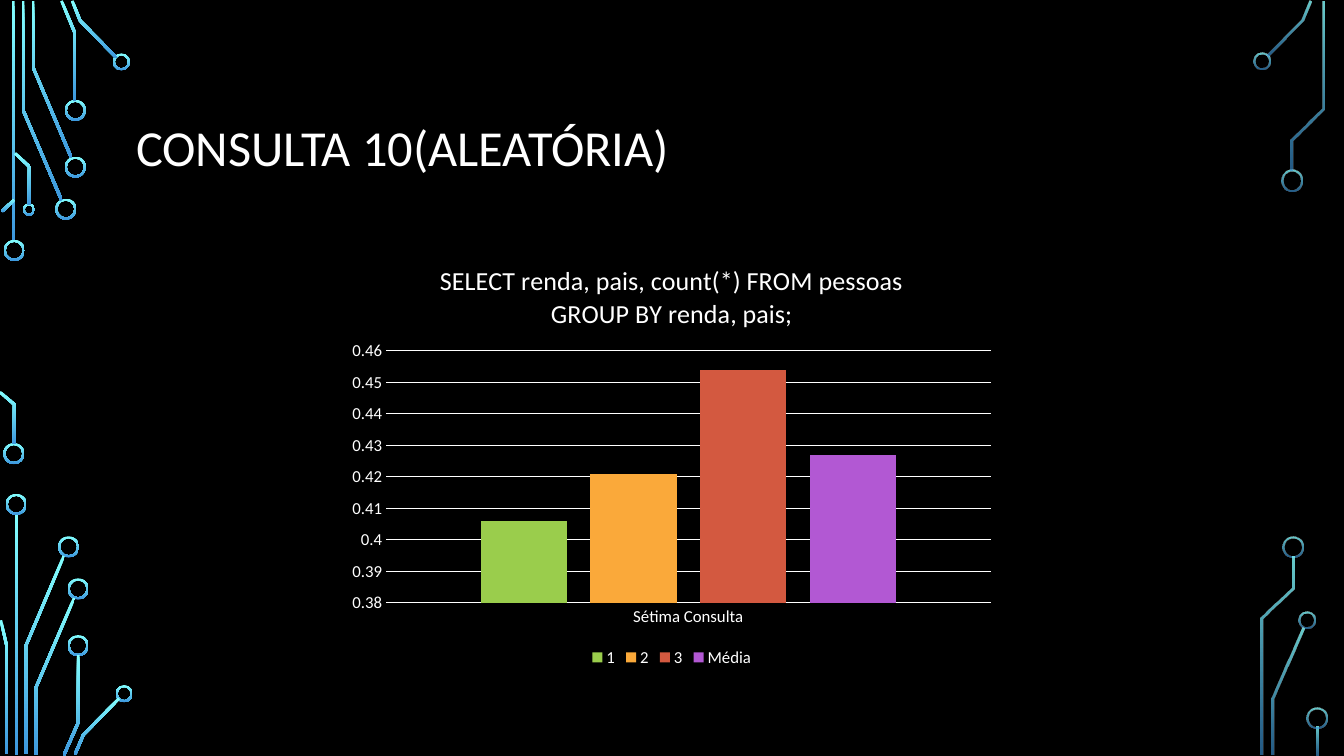
from pptx import Presentation
from pptx.chart.data import CategoryChartData
from pptx.dml.color import RGBColor
from pptx.enum.chart import XL_CHART_TYPE, XL_LEGEND_POSITION, XL_TICK_MARK
from pptx.enum.shapes import MSO_SHAPE
from pptx.enum.text import MSO_ANCHOR
from pptx.oxml import parse_xml
from pptx.oxml.ns import nsdecls, qn
from pptx.util import Cm, Pt

RECT, DONUT = MSO_SHAPE.RECTANGLE, MSO_SHAPE.DONUT
COLUMN = XL_CHART_TYPE.COLUMN_CLUSTERED
BOTTOM = XL_LEGEND_POSITION.BOTTOM
NO_TICK = XL_TICK_MARK.NONE
MIDDLE = MSO_ANCHOR.MIDDLE

FONT = "Calibri"
WIDE = 0.07  # trace width in cm
HEX = {"black": "000000", "white": "FFFFFF", "cyan": "82FFFF", "blue": "3D97DE",
       "green": "9ACD4C", "amber": "FAA93A", "red": "D35940", "violet": "B258D3"}
RGB = {name: RGBColor.from_string(code) for name, code in HEX.items()}


def paint(shape, fade):
    """Vertical cyan-to-blue fill; fade holds the opacity of each stop."""
    shape.shadow.inherit = False
    shape.line.fill.background()
    shape.fill.gradient()
    shape.fill.gradient_angle = 270
    for stop, name in zip(shape.fill.gradient_stops, ("cyan", "blue")):
        stop.color.rgb = RGB[name]
    for color, part in zip(shape._element.spPr.iter(qn("a:srgbClr")), fade):
        color.append(parse_xml(f'<a:alpha {nsdecls("a")} val="{part * 1000}"/>'))


def style(font, size):
    font.name, font.size, font.bold = FONT, Pt(size), False
    font.color.rgb = RGB["white"]


deck = Presentation()
deck.slide_width, deck.slide_height = Cm(33.87), Cm(19.05)
slide = deck.slides.add_slide(deck.slide_layouts[6])
slide.background.fill.solid()
slide.background.fill.fore_color.rgb = RGB["black"]
shapes = slide.shapes

# Circuit decoration, in cm: bars (left, top, height), rings (centre, size), traces (centre line)
left = {
    "fade": (),
    "bars": [(0.3, 0.03, 6.07), (0.38, 12.95, 6.07)],
    "rings": [(0.36, 6.31, 0.53), (0.35, 11.43, 0.53), (1.66, 5.27, 0.53),
              (1.9, 4.21, 0.53), (1.9, 2.78, 0.53), (3.06, 1.56, 0.43),
              (0.73, 5.28, 0.31), (0.41, 12.71, 0.53), (1.73, 13.78, 0.53),
              (1.97, 14.84, 0.53), (1.97, 16.27, 0.53), (3.13, 17.48, 0.43)],
    "traces": [
        [(1.55, 5.04), (0.58, 2.77), (0.58, 0.03)],
        [(1.8, 3.98), (0.83, 1.69), (0.83, 0.03)],
        [(1.89, 2.54), (1.89, 0.84), (1.55, 0.02)],
        [(2.93, 1.45), (2.02, 0.52), (1.82, 0.02)],
        [(0.05, 5.33), (0.36, 5.03)],
        [(0, 9.88), (0.36, 10.19), (0.36, 11.2)],
        [(0.38, 3.86), (0.74, 4.2), (0.74, 5.16)],
        [(1.61, 14.01), (0.65, 16.28), (0.65, 19)],
        [(0.02, 15.63), (0.17, 16.28), (0.17, 19)],
        [(1.87, 15.07), (0.9, 17.34), (0.9, 19.02)],
        [(1.61, 19.03), (1.97, 18.21), (1.97, 16.51)],
        [(1.89, 19.01), (2.1, 18.52), (3, 17.6)],
    ],
}
right = {
    "fade": (80, 60),
    "bars": [(33.17, 18.31, 0.72)],
    "rings": [(31.81, 1.54, 0.43), (32.57, 4.55, 0.53), (32.93, 15.62, 0.43),
              (32.59, 13.78, 0.53), (33.18, 18.09, 0.53)],
    "traces": [
        [(31.93, 1.41), (32.83, 0.5), (33.03, 0.02)],
        [(32.84, 15.84), (32.07, 17.61), (32.07, 19.02)],
        [(32.56, 4.29), (32.56, 3.52), (33.34, 2.73), (33.34, 0.03)],
        [(32.6, 14.02), (32.6, 14.82), (31.81, 15.58), (31.81, 19.02)],
    ],
}

for side in (left, right):
    for x, y, tall in side["bars"]:
        paint(shapes.add_shape(RECT, Cm(x), Cm(y), Cm(WIDE), Cm(tall)), side["fade"])

    for x, y, size in side["rings"]:
        ring = shapes.add_shape(DONUT, Cm(x - size / 2), Cm(y - size / 2), Cm(size), Cm(size))
        ring.adjustments[0] = 0.05 / size
        paint(ring, side["fade"])

    for trace in side["traces"]:
        # Widen the centre line to an outline with mitred bends
        dots = [complex(x, y) for x, y in trace]
        norms = [1j * (b - a) / abs(b - a) for a, b in zip(dots, dots[1:])]
        sums = [a + b for a, b in zip(norms[:1] + norms, norms + norms[-1:])]
        shifts = [s * WIDE / abs(s) ** 2 for s in sums]
        edge = [d + s for d, s in zip(dots, shifts)]
        edge += [d - s for d, s in zip(dots, shifts)][::-1]
        points = [(Cm(p.real), Cm(p.imag)) for p in edge]
        pen = shapes.build_freeform(*points[0])
        pen.add_line_segments(points[1:], close=True)
        paint(pen.convert_to_shape(), side["fade"])

# Title
frame = shapes.add_textbox(Cm(3.18), Cm(1.73), Cm(27.5), Cm(4.11)).text_frame
frame.word_wrap = True
frame.vertical_anchor = MIDDLE
para = frame.paragraphs[0]
para.line_spacing = 0.9
run = para.add_run()
run.text = "CONSULTA 10(ALEATÓRIA)"
style(run.font, 36)

# Chart
bars = [("1", 0.406, "green"), ("2", 0.421, "amber"),
        ("3", 0.454, "red"), ("Média", 0.427, "violet")]
data = CategoryChartData()
data.categories = ["Sétima Consulta"]
for name, value, _ in bars:
    data.add_series(name, [value])
chart = shapes.add_chart(COLUMN, Cm(8.56), Cm(6.15), Cm(16.74), Cm(10.77), data).chart
style(chart.font, 12)

chart.has_title = True
run = chart.chart_title.text_frame.paragraphs[0].add_run()
run.text = "SELECT renda, pais, count(*) FROM pessoas GROUP BY renda, pais;"
style(run.font, 18.6)
chart.chart_title.include_in_layout = False

chart.has_legend = True
chart.legend.position = BOTTOM
chart.legend.include_in_layout = False
style(chart.legend.font, 12)

plot = chart.plots[0]
plot.gap_width, plot.overlap = 219, -27
plot.vary_by_categories = False
for series, (_, _, tint) in zip(plot.series, bars):
    series.format.fill.solid()
    series.format.fill.fore_color.rgb = RGB[tint]
    series.invert_if_negative = False

# Axes
cats, vals = chart.category_axis, chart.value_axis
vals.minimum_scale, vals.maximum_scale, vals.major_unit = 0.38, 0.46, 0.01
vals.has_major_gridlines = True
vals.format.line.fill.background()
for axis in (cats, vals):
    axis.major_tick_mark = axis.minor_tick_mark = NO_TICK
    style(axis.tick_labels.font, 12)
for line in (cats.format.line, vals.major_gridlines.format.line):
    line.color.rgb = RGB["white"]
    line.width = Pt(0.75)

# Fixed plot area
area = chart._chartSpace.chart.plotArea
for old in area.findall(qn("c:layout")):
    area.remove(old)
spots = "".join(f'<c:{key} val="{val}"/>' for key, val in [
    ("layoutTarget", "inner"), ("xMode", "edge"), ("yMode", "edge"),
    ("x", 0.07), ("y", 0.25), ("w", 0.91), ("h", 0.59)])
area.insert(0, parse_xml(
    f'<c:layout {nsdecls("c")}><c:manualLayout>{spots}</c:manualLayout></c:layout>'))

deck.save("out.pptx")
